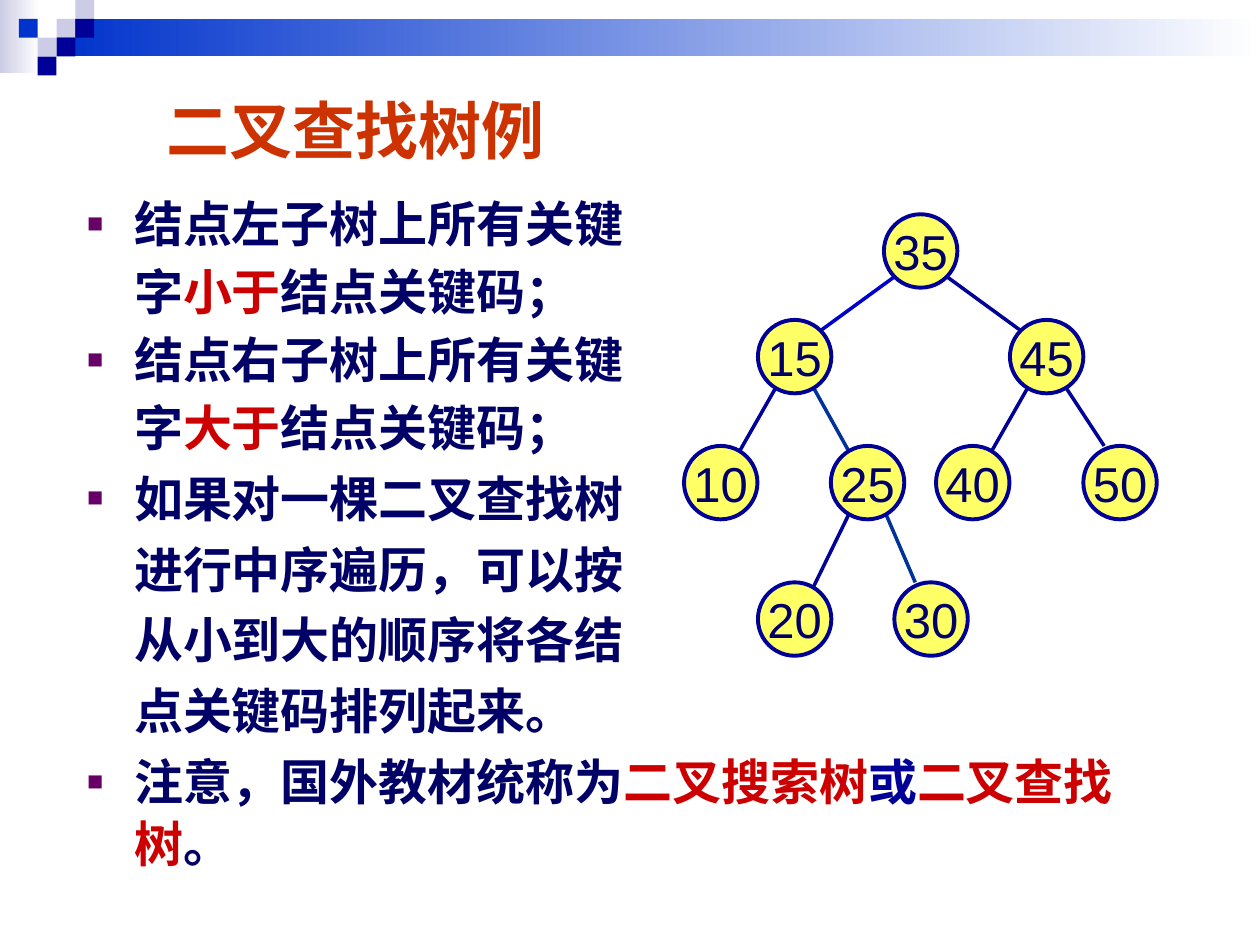
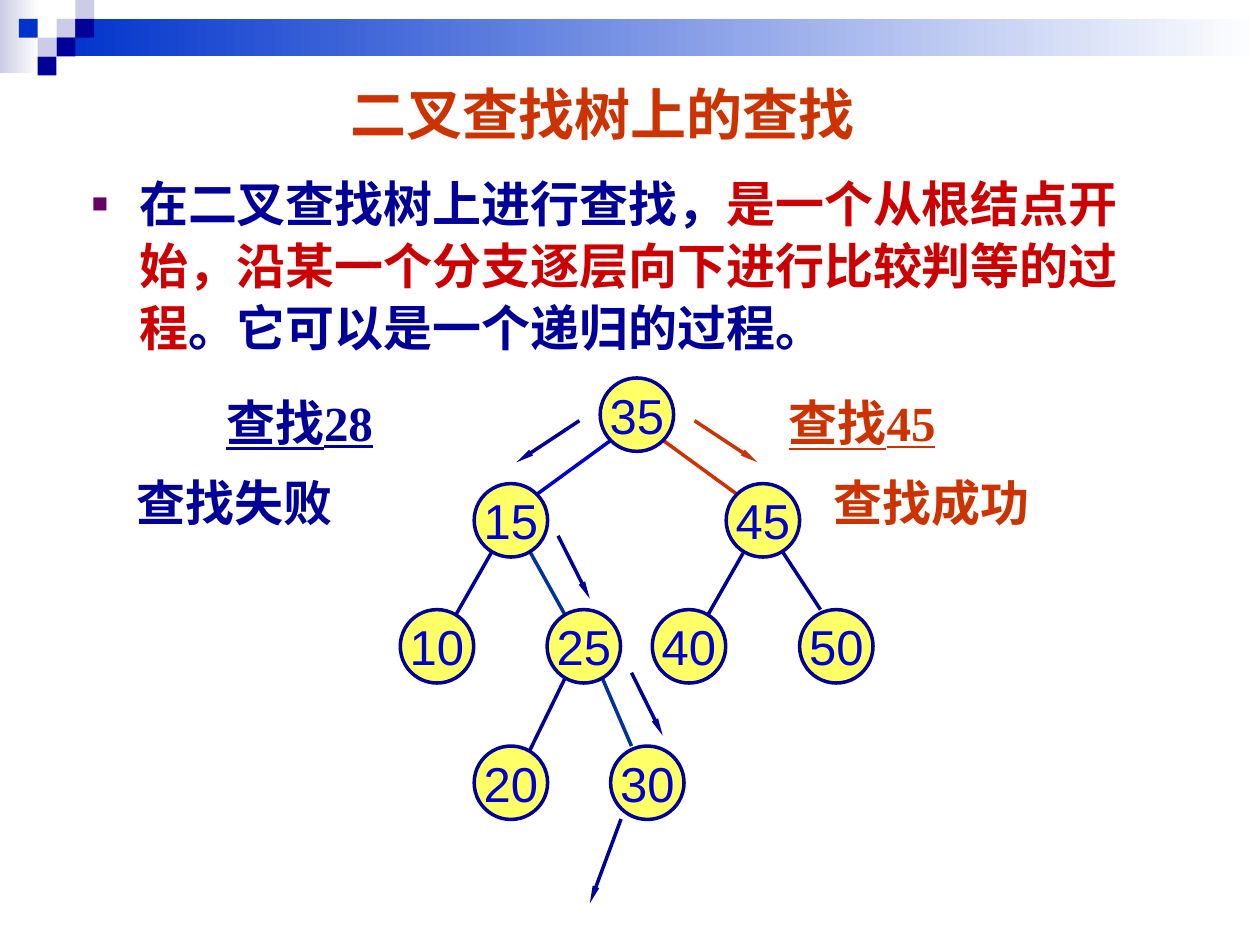
from lxml import etree
from pptx import Presentation
from pptx import util as u
from pptx.dml import color
from pptx.enum import shapes, text
from pptx.oxml import ns

NAVY, BLUE, ROYAL, LAVENDER = "000099", "0033CC", "0000CC", "CCCCE6"
STEEL, INK, RED, RUST = "003399", "000066", "CC0000", "CC3300"
YELLOW, PURPLE, WHITE = "FFFF66", "660066", "FFFFFF"
SANS, SERIF = "Arial", "Times New Roman"
CELL = 0.38
NODE = 1.48
HANG = 0.95

MOSAIC = [(3, 1, LAVENDER), (4, 0, LAVENDER), (4, 1, NAVY), (2, 2, LAVENDER),
          (1, 1, BLUE), (3, 2, NAVY), (2, 3, NAVY)]

KEYS = {35: (0, 0), 15: (-2.54, 2.13), 45: (2.54, 2.13),
        10: (-4.03, 4.67), 25: (-1.07, 4.67), 40: (1.05, 4.67), 50: (4.02, 4.67),
        20: (-2.54, 7.42), 30: (0.21, 7.42)}

BRANCHES = [(45, 40, 0.32, 0.53, NAVY), (25, 30, 0.32, 0.74, STEEL),
            (25, 20, 0.32, 0.53, NAVY), (15, 10, 0.32, 0.53, NAVY),
            (15, 25, 0.32, 0.53, STEEL), (35, 15, 0.53, 0.53, ROYAL),
            (35, 45, 0.53, 0.53, NAVY), (45, 50, 0.32, 0.74, NAVY)]

RULES = [
    (True, 0, [("结点左子树上所有关键", INK)]),
    (False, 3.5, [("字", INK), ("小于", RED), ("结点关键码；", INK)]),
    (True, 3.5, [("结点右子树上所有关键", INK)]),
    (False, 3.5, [("字", INK), ("大于", RED), ("结点关键码；", INK)]),
    (True, 5.2, [("如果对一棵二叉查找树", INK)]),
    (False, 5.2, [("进行中序遍历，可以按", INK)]),
    (False, 5.2, [("从小到大的顺序将各结", INK)]),
    (False, 5.2, [("点关键码排列起来。", INK)]),
    (True, 5.2, [("注意，国外教材统称为", INK), ("二叉搜索树", RED), ("或", NAVY),
                 ("二叉查找树", RED), ("。", INK)]),
]

SEARCH = [(True, 0, [("在二叉查找树上进行查找，", NAVY),
                     ("是一个从根结点开始，沿某一个分支逐层向下进行比较判等的过程", RED),
                     ("。它可以是一个递归的过程。", NAVY)])]

STEPS = [((14, 8.48), (15.27, 9.32), RUST),
         ((11.68, 8.48), (10.41, 9.32), NAVY),
         ((11.25, 10.8), (11.89, 12.07), NAVY),
         ((12.73, 13.56), (13.36, 14.83), NAVY),
         ((12.52, 16.51), (11.89, 18.21), NAVY)]


def rgb(value):
    return color.RGBColor.from_string(value)


def style(font, name, size, shade, bold=True):
    font.name = name
    font.size = u.Pt(size)
    font.bold = bold
    font.color.rgb = rgb(shade)


def place(shape, left, top, width, height):
    shape.left, shape.top = u.Cm(left), u.Cm(top)
    shape.width, shape.height = u.Cm(width), u.Cm(height)


def add_block(slide, box, *shades):
    block = slide.shapes.add_shape(shapes.MSO_SHAPE.RECTANGLE, *map(u.Cm, box))
    block.shadow.inherit = False
    block.line.fill.background()
    if len(shades) == 1:
        block.fill.solid()
        block.fill.fore_color.rgb = rgb(shades[0])
    else:
        block.fill.gradient()
        block.fill.gradient_angle = 0
        for stop, shade in zip(block.fill.gradient_stops, shades):
            stop.color.rgb = rgb(shade)
    return block


def add_header(slide, layout):
    blocks = [add_block(slide, (0, 0, 0.79, 1.47), LAVENDER, WHITE),
              add_block(slide, (1.14, CELL, 24.26, 2 * CELL), BLUE, WHITE)]
    blocks += [add_block(slide, (column * CELL, row * CELL, CELL, CELL), shade)
               for column, row, shade in MOSAIC]
    for index, block in enumerate(blocks):
        block.element.nvSpPr.cNvPr.set("id", str(100 + index))
        layout.shapes.element.insert(2 + index, block.element)


def set_title(slide, wording, box, size, align):
    title = slide.shapes.title
    place(title, *box)
    title.text_frame.text = wording
    title.text_frame.auto_size = text.MSO_AUTO_SIZE.NONE
    title.text_frame.vertical_anchor = text.MSO_ANCHOR.MIDDLE
    heading = title.text_frame.paragraphs[0]
    heading.alignment = align
    style(heading.runs[0].font, SERIF, size, RUST)


def set_bullet(paragraph, marked):
    props = paragraph._p.get_or_add_pPr()
    props.set("marL", str(u.Cm(HANG)))
    props.set("indent", str(-u.Cm(HANG) if marked else 0))
    if not marked:
        etree.SubElement(props, ns.qn("a:buNone"))
        return
    tint = etree.SubElement(props, ns.qn("a:buClr"))
    etree.SubElement(tint, ns.qn("a:srgbClr"), val=PURPLE)
    etree.SubElement(props, ns.qn("a:buSzPct"), val="55000")
    etree.SubElement(props, ns.qn("a:buFont"), typeface=SANS)
    etree.SubElement(props, ns.qn("a:buChar"), char="■")


def set_body(slide, items, box):
    body = slide.placeholders[1]
    place(body, *box)
    frame = body.text_frame
    frame.auto_size = text.MSO_AUTO_SIZE.NONE
    frame.margin_right = u.Cm(1.4)
    for index, (marked, before, parts) in enumerate(items):
        line = frame.add_paragraph() if index else frame.paragraphs[0]
        set_bullet(line, marked)
        line.line_spacing = 1.05
        line.space_before = u.Pt(before)
        for wording, shade in parts:
            run = line.add_run()
            run.text = wording
            style(run.font, SANS, 28, shade)


def add_line(slide, start, end, shade, arrow=False):
    line = slide.shapes.add_connector(shapes.MSO_CONNECTOR.STRAIGHT,
                                      *map(u.Cm, (*start, *end)))
    line.line.color.rgb = rgb(shade)
    line.line.width = u.Pt(2)
    if arrow:
        etree.SubElement(line.get_or_add_ln(), ns.qn("a:tailEnd"),
                         type="triangle", w="sm", len="lg")
    etree.SubElement(line.element.spPr, ns.qn("a:effectLst"))


def add_node(slide, key, x, y, shade, outline):
    node = slide.shapes.add_shape(shapes.MSO_SHAPE.OVAL, u.Cm(x - NODE / 2),
                                  u.Cm(y - NODE / 2), u.Cm(NODE), u.Cm(NODE))
    node.shadow.inherit = False
    node.fill.solid()
    node.fill.fore_color.rgb = rgb(YELLOW)
    node.line.color.rgb = rgb(NAVY)
    node.line.width = u.Pt(outline)
    node.text_frame.text = str(key)
    node.text_frame.word_wrap = False
    node.text_frame.vertical_anchor = text.MSO_ANCHOR.MIDDLE
    label = node.text_frame.paragraphs[0]
    label.alignment = text.PP_ALIGN.CENTER
    style(label.runs[0].font, SANS, 28, shade, bold=False)


def add_tree(slide, root_x, root_y, shade, outline, found=None):
    centres = {key: (root_x + dx, root_y + dy) for key, (dx, dy) in KEYS.items()}
    for parent, child, reach, rise, tint in BRANCHES:
        (px, py), (cx, cy) = centres[parent], centres[child]
        side = reach if cx > px else -reach
        add_line(slide, (px + side, py + 0.52), (cx - side, cy - rise),
                 RUST if child == found else tint)
    for key, (x, y) in centres.items():
        add_node(slide, key, x, y, shade, outline)


def add_outcome(slide, box, query, result, shade, indents):
    outcome = slide.shapes.add_textbox(*map(u.Cm, box))
    frame = outcome.text_frame
    frame.word_wrap = True
    frame.text = f"{query}\n{result}"
    for line, indent in zip(frame.paragraphs, indents):
        line._p.get_or_add_pPr().set("marL", str(u.Cm(indent)))
        style(line.runs[0].font, SERIF, 28, shade)
    frame.paragraphs[0].runs[0].font.underline = True
    frame.paragraphs[1].space_before = u.Pt(12.2)


def main():
    deck = Presentation()
    deck.slide_width, deck.slide_height = u.Cm(25.4), u.Cm(19.05)
    layout = deck.slide_layouts[1]

    example = deck.slides.add_slide(layout)
    add_header(example, layout)
    set_title(example, "二叉查找树例", (3.1, 1.72, 9.86, 1.78), 36, text.PP_ALIGN.LEFT)
    set_body(example, RULES, (1.5, 3.72, 22.91, 14))
    add_tree(example, 18.56, 5.06, INK, 2.25)

    search = deck.slides.add_slide(layout)
    set_title(search, "二叉查找树上的查找", (5.9, 1.43, 12.5, 1.7), 32,
              text.PP_ALIGN.CENTER)
    set_body(search, SEARCH, (1.6, 3.32, 22.86, 13.21))
    add_outcome(search, (15.65, 7.79, 6.43, 3.07), "查找45", "查找成功", RUST, (0, 0.9))
    add_outcome(search, (2.5, 7.78, 7.65, 3.1), "查找28", "查找失败", NAVY, (1.81, 0))
    add_tree(search, 12.84, 8.36, ROYAL, 2, found=45)
    for start, end, shade in STEPS:
        add_line(search, start, end, shade, arrow=True)

    deck.save("out.pptx")


if __name__ == "__main__":
    main()
